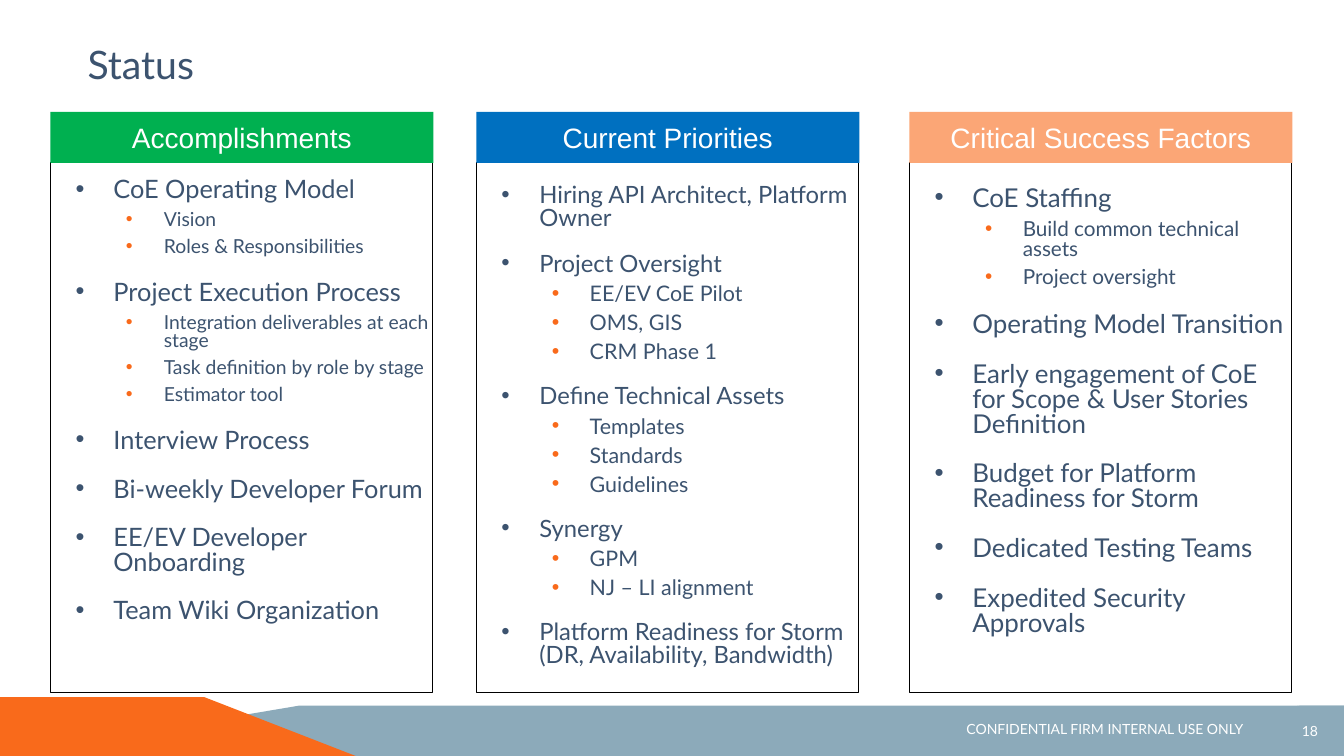
from lxml import etree
from pptx import Presentation
from pptx import util as u
from pptx.dml.color import RGBColor
from pptx.enum import shapes, text
from pptx.oxml import ns

COLORS = {
    "navy": "3C536F",
    "orange": "F96A1B",
    "slate": "8CAABA",
    "green": "00B050",
    "blue": "0070C0",
    "peach": "FBA676",
    "white": "FFFFFF",
    "black": "000000",
}

COLUMNS = [
    {
        "left": 36, "title": "Accomplishments", "color": "green",
        "sizes": (18.1, 13.8), "inset": 12,
        "items": [
            ("CoE Operating Model", ["Vision", "Roles & Responsibilities"]),
            ("Project Execution Process", [
                "Integration deliverables at each stage",
                "Task definition by role by stage",
                "Estimator tool",
            ]),
            ("Interview Process", []),
            ("Bi-weekly Developer Forum", []),
            ("EE/EV Developer Onboarding", []),
            ("Team Wiki Organization", []),
        ],
    },
    {
        "left": 340.2, "title": "Current Priorities", "color": "blue",
        "sizes": (17, 15.3), "inset": 16.3,
        "items": [
            ("Hiring API Architect, Platform Owner", []),
            ("Project Oversight", ["EE/EV CoE Pilot", "OMS, GIS", "CRM Phase 1"]),
            ("Define Technical Assets", ["Templates", "Standards", "Guidelines"]),
            ("Synergy", ["GPM", "NJ – LI alignment"]),
            ("Platform Readiness for Storm (DR, Availability, Bandwidth)", []),
        ],
    },
    {
        "left": 649.6, "title": "Critical Success Factors", "color": "peach",
        "sizes": (18.5, 14.8), "inset": 17.8,
        "items": [
            ("CoE Staffing", ["Build common technical assets", "Project oversight"]),
            ("Operating Model Transition", []),
            ("Early engagement of CoE for Scope & User Stories Definition", []),
            ("Budget for Platform Readiness for Storm", []),
            ("Dedicated Testing Teams", []),
            ("Expedited Security Approvals", []),
        ],
    },
]


class StatusSlide:
    font = "Lato"
    line_spacing = 0.8
    level_margins = (45, 81)
    bullet_colors = ("navy", "orange")
    hanging = 27

    def __init__(self, presentation):
        self.slide = presentation.slides.add_slide(presentation.slide_layouts[5])

    def paint(self, shape, fill=None, line=None):
        shape.shadow.inherit = False
        if fill:
            shape.fill.solid()
            shape.fill.fore_color.rgb = RGBColor.from_string(COLORS[fill])
        else:
            shape.fill.background()
        if line:
            shape.line.color.rgb = RGBColor.from_string(COLORS[line])
            shape.line.width = u.Pt(0.75)
        else:
            shape.line.fill.background()

    def frame(self, shape, anchor, insets=(0, 0, 0, 0)):
        frame = shape.text_frame
        frame.word_wrap = True
        frame.auto_size = text.MSO_AUTO_SIZE.NONE
        frame.vertical_anchor = anchor
        (frame.margin_left, frame.margin_top,
         frame.margin_right, frame.margin_bottom) = map(u.Pt, insets)
        return frame

    def add_words(self, paragraph, words, size, color, align, font=None):
        paragraph.alignment = align
        run = paragraph.add_run()
        run.text = words
        run.font.name = font or self.font
        run.font.size = u.Pt(size)
        run.font.color.rgb = RGBColor.from_string(COLORS[color])

    def title(self, words, box):
        shape = self.slide.shapes.title
        shape.left, shape.top, shape.width, shape.height = map(u.Pt, box)
        frame = self.frame(shape, text.MSO_ANCHOR.TOP)
        self.add_words(frame.paragraphs[0], words, 28, "navy", text.PP_ALIGN.LEFT)

    def polygon(self, points, fill):
        builder = self.slide.shapes.build_freeform(*points[0], scale=u.Pt(1))
        builder.add_line_segments(points[1:], close=True)
        self.paint(builder.convert_to_shape(), fill)

    def shape(self, kind, box, fill=None, line=None):
        shape = self.slide.shapes.add_shape(kind, *map(u.Pt, box))
        self.paint(shape, fill, line)
        return shape

    def label(self, words, box):
        shape = self.slide.shapes.add_textbox(*map(u.Pt, box))
        frame = self.frame(shape, text.MSO_ANCHOR.MIDDLE)
        self.add_words(frame.paragraphs[0], words, 10, "white", text.PP_ALIGN.RIGHT)

    def page_number(self, number, box):
        shape = self.shape(shapes.MSO_SHAPE.FLOWCHART_DELAY, box, "slate")
        shape._element.spPr.find(ns.qn("a:xfrm")).set("flipH", "1")
        frame = self.frame(shape, text.MSO_ANCHOR.MIDDLE, (7.2, 3.6, 7.2, 3.6))
        self.add_words(frame.paragraphs[0], number, 10, "white", text.PP_ALIGN.CENTER)

    def header(self, words, box, fill):
        shape = self.shape(shapes.MSO_SHAPE.RECTANGLE, box, fill)
        frame = self.frame(shape, text.MSO_ANCHOR.MIDDLE, (7.2, 3.6, 7.2, 3.6))
        self.add_words(frame.paragraphs[0], words, 20, "white", text.PP_ALIGN.CENTER, "Arial")

    def bullet(self, paragraph, level):
        properties = paragraph._p.get_or_add_pPr()
        properties.set("marL", str(u.Pt(self.level_margins[level])))
        properties.set("indent", str(-u.Pt(self.hanging)))
        color = etree.SubElement(properties, ns.qn("a:buClr"))
        value = COLORS[self.bullet_colors[level]]
        etree.SubElement(color, ns.qn("a:srgbClr")).set("val", value)
        etree.SubElement(properties, ns.qn("a:buFont")).set("typeface", "Arial")
        etree.SubElement(properties, ns.qn("a:buChar")).set("char", "•")

    def bullet_box(self, items, sizes, box, inset):
        shape = self.shape(shapes.MSO_SHAPE.RECTANGLE, box, line="black")
        frame = self.frame(shape, text.MSO_ANCHOR.TOP, (0, inset, 0, 0))
        topic_gap = round(sizes[0] * 1.2 * self.line_spacing, 1)
        entries = []
        for topic, details in items:
            entries.append((topic, 0, topic_gap if entries else 0))
            entries += [(detail, 1, 6) for detail in details]
        for index, (words, level, gap) in enumerate(entries):
            paragraph = frame.add_paragraph() if index else frame.paragraphs[0]
            paragraph.level = level
            paragraph.line_spacing = self.line_spacing
            paragraph.space_before = u.Pt(gap)
            self.bullet(paragraph, level)
            self.add_words(paragraph, words, sizes[level], "navy", text.PP_ALIGN.LEFT)


def main():
    presentation = Presentation()
    presentation.slide_width = u.Pt(960)
    presentation.slide_height = u.Pt(540)
    status = StatusSlide(presentation)
    status.polygon([(0, 540), (214.5, 504), (960, 504), (960, 540)], "slate")
    status.polygon([(0, 540), (0, 497.5), (145.5, 497.5), (254, 540)], "orange")
    status.page_number("18", (903, 504, 57, 36))
    status.label("CONFIDENTIAL FIRM INTERNAL USE ONLY", (255, 510, 633, 21.6))
    status.title("Status", (62.6, 28.8, 864, 43.2))
    for column in COLUMNS:
        left = column["left"]
        status.bullet_box(column["items"], column["sizes"],
                          (left, 116, 273, 378.5), column["inset"])
        status.header(column["title"], (left, 79.9, 273.6, 36.5), column["color"])
    presentation.save("out.pptx")


if __name__ == "__main__":
    main()
